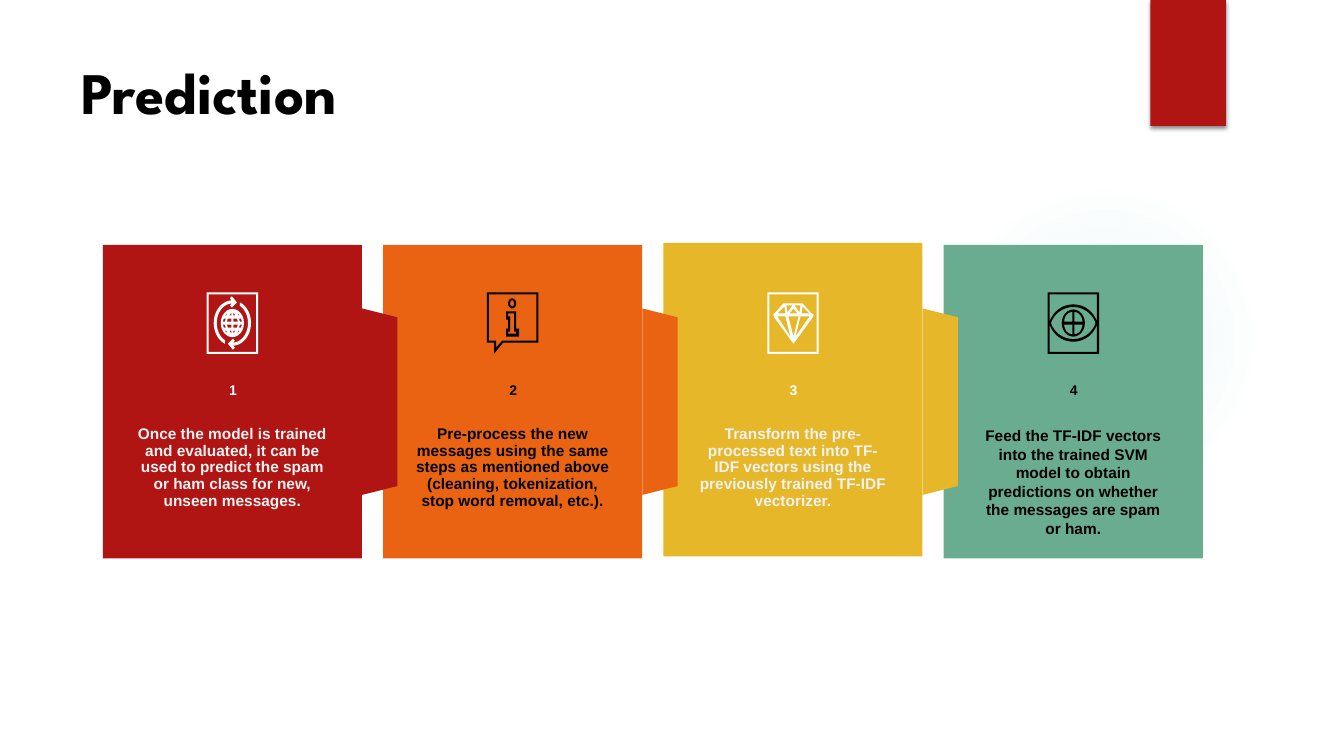
"""Build the Prediction slide: four coloured step cards with icons."""
from dataclasses import dataclass
from math import cos, radians, sin
from typing import Any

from lxml import etree
from pptx import Presentation
from pptx.dml.color import RGBColor
from pptx.enum.shapes import MSO_SHAPE
from pptx.enum.text import MSO_ANCHOR, MSO_AUTO_SIZE, PP_ALIGN
from pptx.util import Inches, Pt

RECTANGLE, OVAL, TRAPEZOID = MSO_SHAPE.RECTANGLE, MSO_SHAPE.OVAL, MSO_SHAPE.TRAPEZOID
CENTER, LEFT = PP_ALIGN.CENTER, PP_ALIGN.LEFT
TOP, NO_FIT = MSO_ANCHOR.TOP, MSO_AUTO_SIZE.NONE
NAMESPACE = "http://schemas.openxmlformats.org/drawingml/2006/main"
COLORS = {"red": "B01513", "orange": "EA6312", "yellow": "E6B729", "green": "6AAC90",
          "white": "FFFFFF", "pale": "F1F2F2", "black": "000000", "glow": "50B9C1"}
FRAME_FORMAT = {"word_wrap": True, "auto_size": NO_FIT, "vertical_anchor": TOP}

CARD_LEFT, CARD_PITCH = 1.02, 2.78
CARD_WIDTH, CARD_HEIGHT = 2.57, 3.11
FLAP_LENGTH, FLAP_DEPTH = 1.85, 0.35
ICON_UNIT = 0.01

Point = tuple[float, float]
Outline = list[Point]


def arc(cx: float, cy: float, rx: float, ry: float, start: float, end: float) -> Outline:
    steps = 24
    angles = [radians(start + (end - start) * i / steps) for i in range(steps + 1)]
    return [(cx + rx * cos(angle), cy + ry * sin(angle)) for angle in angles]


def ellipse(cx: float, cy: float, rx: float, ry: float) -> Outline:
    return arc(cx, cy, rx, ry, 0, 360)


def turn(outline: Outline) -> Outline:
    return [(51 - x, 61 - y) for x, y in outline]


FRAME: list[Outline] = [[(0, 0), (51, 0), (51, 61), (0, 61)]]
WINDOW: list[Outline] = [[(2, 2), (49, 2), (49, 59), (2, 59)]]


def globe_icon() -> list[Outline]:
    arrow = (arc(25.5, 30.5, 18.5, 22.5, 114, 268)
             + [(23, 6), (25, 4), (30, 10), (25, 15), (23, 13)]
             + arc(25.5, 30.5, 15.5, 19.5, 268, 118))
    cells = [
        [(1, 1.5), (1, 4.5), (4.5, 4.5), (5.5, 1.5)],
        [(7.5, 1.5), (6.5, 4.5), (8.5, 4.5), (9.5, 1.5)],
        [(1, 7.5), (1, 10.5), (3, 7.5)],
        [(7.5, 7.5), (6, 7.5), (4.5, 10.5)],
    ]
    holes = [[(25.5 + h * x, 30.5 + v * y) for x, y in cell]
             for cell in cells for h in (-1, 1) for v in (-1, 1)]
    return FRAME + WINDOW + [arrow, turn(arrow), ellipse(25.5, 30.5, 11.5, 14)] + holes


def info_icon() -> list[Outline]:
    return [
        [(0, 0), (0, 50), (7, 50), (7, 61), (16, 50), (51, 50), (51, 0)],
        [(2, 2), (49, 2), (49, 48), (15, 48), (9, 55), (9, 48), (2, 48)],
        [(32, 36), (29, 36), (29, 19), (19, 19), (19, 27), (21, 27), (21, 36),
         (19, 36), (19, 44), (32, 44)],
        [(29, 41), (21, 41), (21, 39), (23, 39), (23, 24), (21, 24), (21, 21),
         (27, 21), (27, 39), (29, 39)],
        ellipse(25, 11, 4, 5), ellipse(25, 11, 2, 3),
    ]


def diamond_icon() -> list[Outline]:
    return FRAME + WINDOW + [
        [(44, 21), (35, 11), (16, 11), (7, 21), (6, 22), (7, 25), (26, 51), (45, 25), (46, 22)],
        [(27, 13), (33, 13), (32, 20)], [(20, 20), (19, 13), (25, 13)],
        [(26, 16), (30, 21), (22, 21)], [(31, 24), (26, 44), (21, 24)],
        [(18, 24), (23, 44), (10, 24)], [(33, 24), (42, 24), (28, 44)],
        [(34, 21), (35, 14), (42, 21)], [(17, 14), (18, 21), (10, 21)],
    ]


def eye_icon() -> list[Outline]:
    corner = [(2, 2), (49, 2)] + arc(25.5, 36.7, 24.7, 24.7, 342, 198)
    lens = arc(25.5, 38, 23.4, 23.4, 200, 340) + arc(25.5, 23, 23.4, 23.4, 20, 160)
    quadrants = [[(25.5 + h, 30.5 + 1.5 * v)]
                 + arc(25.5 + h, 30.5 + 1.5 * v, 8, 9.5, start, start + 90)
                 for start, h, v in ((0, 1, 1), (90, -1, 1), (180, -1, -1), (270, 1, -1))]
    return FRAME + [corner, turn(corner), lens, ellipse(25.5, 30.5, 11.5, 13.5)] + quadrants


@dataclass
class Step:
    text: str
    fill: str
    ink: str
    body_ink: str
    icon: list[Outline]
    top: float = 2.43
    body_inset: float = 0.22
    spacing: float = 0.9
    flap: bool = True


STEPS = [
    Step("Once the model is trained and evaluated, it can be used to predict the spam or ham "
         "class for new, unseen messages.", "red", "white", "pale", globe_icon()),
    Step("Pre-process the new messages using the same steps as mentioned above (cleaning, "
         "tokenization, stop word removal, etc.).", "orange", "black", "black", info_icon()),
    Step("Transform the pre-processed text into TF-IDF vectors using the previously trained "
         "TF-IDF vectorizer.", "yellow", "white", "pale", diamond_icon(), top=2.41),
    Step("Feed the TF-IDF vectors into the trained SVM model to obtain predictions on whether "
         "the messages are spam or ham.", "green", "black", "black", eye_icon(),
         body_inset=0.24, spacing=1.0, flap=False),
]


def apply_format(target: Any, values: dict[str, Any]) -> None:
    for name, value in values.items():
        setattr(target, name, value)


def paint(shape: Any, color: str) -> None:
    shape.shadow.inherit = False
    shape.fill.solid()
    shape.fill.fore_color.rgb = RGBColor.from_string(COLORS[color])
    shape.line.fill.background()


def add_block(page: Any, kind: Any, box: tuple[float, ...], color: str) -> Any:
    shape = page.shapes.add_shape(kind, *map(Inches, box))
    paint(shape, color)
    return shape


def write(shape: Any, text: str, size: float, color: str, font: str = "Arial",
          alignment: Any = CENTER, spacing: float = 1.0) -> None:
    apply_format(shape.text_frame, FRAME_FORMAT)
    para = shape.text_frame.paragraphs[0]
    apply_format(para, {"alignment": alignment, "line_spacing": spacing})
    span = para.add_run()
    span.text = text
    apply_format(span.font, {"name": font, "size": Pt(size), "bold": True})
    span.font.color.rgb = RGBColor.from_string(COLORS[color])


def add_icon(page: Any, left: float, top: float, outlines: list[Outline], color: str) -> None:
    placed = [[(Inches(left + x * ICON_UNIT), Inches(top + y * ICON_UNIT)) for x, y in outline]
              for outline in outlines]
    builder = page.shapes.build_freeform(*placed[0][0], scale=1.0)
    for outline in placed:
        builder.move_to(*outline[0])
        builder.add_line_segments(outline[1:], close=True)
    paint(builder.convert_to_shape(), color)


def add_decoration(page: Any) -> None:
    glow = add_block(page, OVAL, (9.41, 1.83, 3.08, 3.08), "glow")
    stops = "".join(
        f'<a:gs pos="{place}000"><a:srgbClr val="{COLORS["glow"]}">'
        f'<a:alpha val="{alpha}000"/></a:srgbClr></a:gs>'
        for place, alpha in ((0, 7), (36, 6), (69, 0)))
    gradient = etree.fromstring(
        f'<a:gradFill xmlns:a="{NAMESPACE}"><a:gsLst>{stops}</a:gsLst><a:path path="circle">'
        '<a:fillToRect l="50000" t="50000" r="50000" b="50000"/></a:path></a:gradFill>')
    solid = glow.element.spPr.find(f"{{{NAMESPACE}}}solidFill")
    glow.element.spPr.replace(solid, gradient)
    ribbon = add_block(page, RECTANGLE, (11.41, 0, 0.75, 1.25), "red")
    effects = ribbon.element.spPr.find(f"{{{NAMESPACE}}}effectLst")
    effects.append(etree.fromstring(
        f'<a:outerShdw xmlns:a="{NAMESPACE}" blurRad="38100" dist="25400" dir="5400000">'
        f'<a:srgbClr val="{COLORS["black"]}"><a:alpha val="45000"/></a:srgbClr></a:outerShdw>'))


def add_step(page: Any, left: float, number: int, step: Step) -> None:
    add_block(page, RECTANGLE, (left, step.top, CARD_WIDTH, CARD_HEIGHT), step.fill)
    add_icon(page, left + 1.03, 2.9, step.icon, step.ink)
    label = page.shapes.add_textbox(*map(Inches, (left + 0.04, 3.74, 2.5, 0.27)))
    write(label, str(number), 10, step.ink)
    body_box = (left + step.body_inset, 4.18, CARD_WIDTH - 2 * step.body_inset, 1.26)
    body = page.shapes.add_textbox(*map(Inches, body_box))
    write(body, step.text, 11, step.body_ink, spacing=step.spacing)


def add_flap(page: Any, left: float, color: str) -> None:
    flap_left = left + CARD_WIDTH + (FLAP_DEPTH - FLAP_LENGTH) / 2
    flap = add_block(page, TRAPEZOID, (flap_left, 3.81, FLAP_LENGTH, FLAP_DEPTH), color)
    flap.rotation = 90


def main() -> None:
    deck = Presentation()
    apply_format(deck, {"slide_width": Inches(13.33), "slide_height": Inches(7.5)})
    page = deck.slides.add_slide(deck.slide_layouts[5])
    add_decoration(page)
    title = page.shapes.title
    apply_format(title, {"left": Inches(0.71), "top": Inches(0.5),
                         "width": Inches(10.29), "height": Inches(1.53)})
    write(title, "Prediction", 42, "black", "League Spartan", LEFT)
    lefts = [CARD_LEFT + CARD_PITCH * i for i in range(len(STEPS))]
    for number, (left, step) in enumerate(zip(lefts, STEPS), start=1):
        add_step(page, left, number, step)
    for left, step in zip(lefts, STEPS):
        if step.flap:
            add_flap(page, left, step.fill)
    deck.save("out.pptx")


if __name__ == "__main__":
    main()
